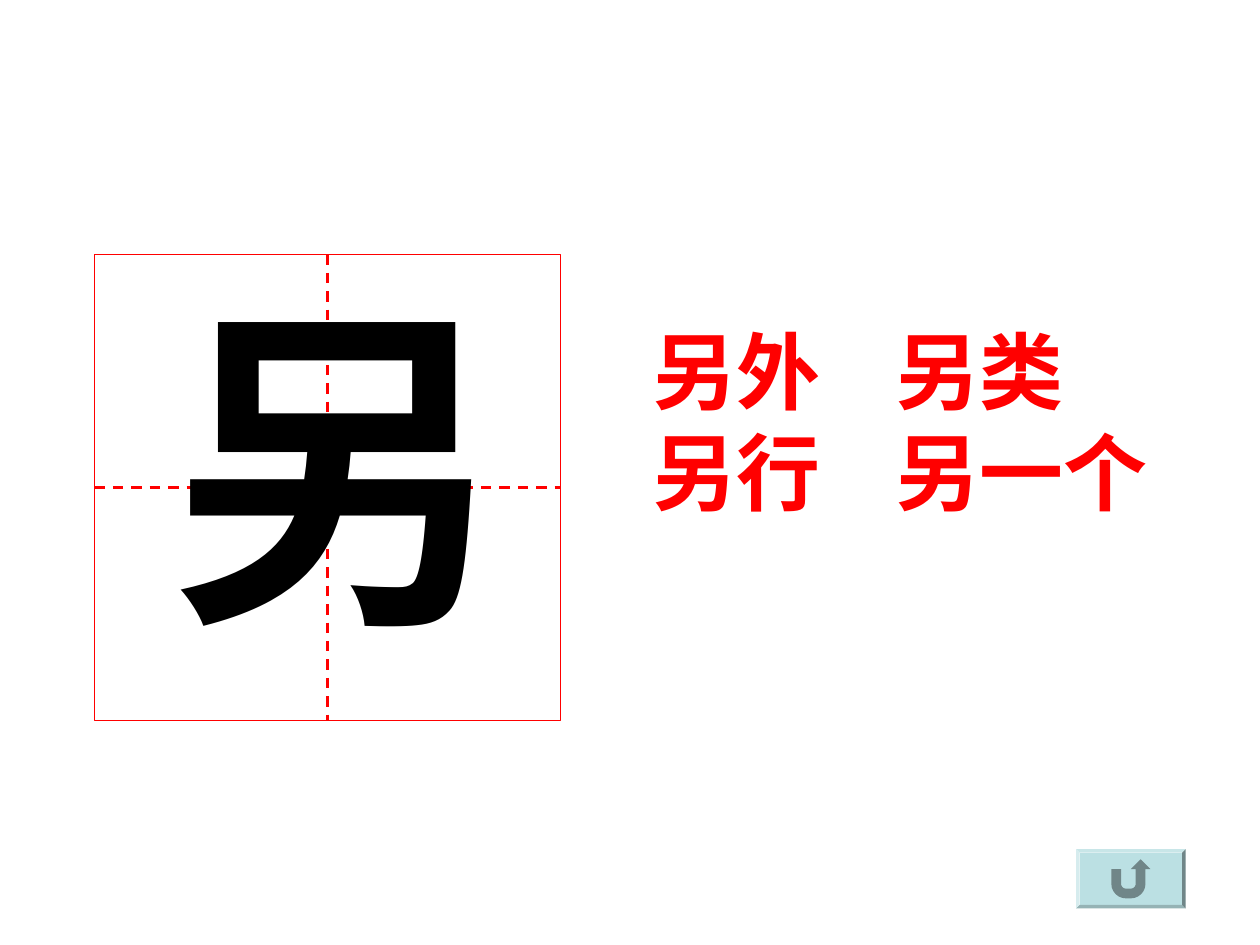
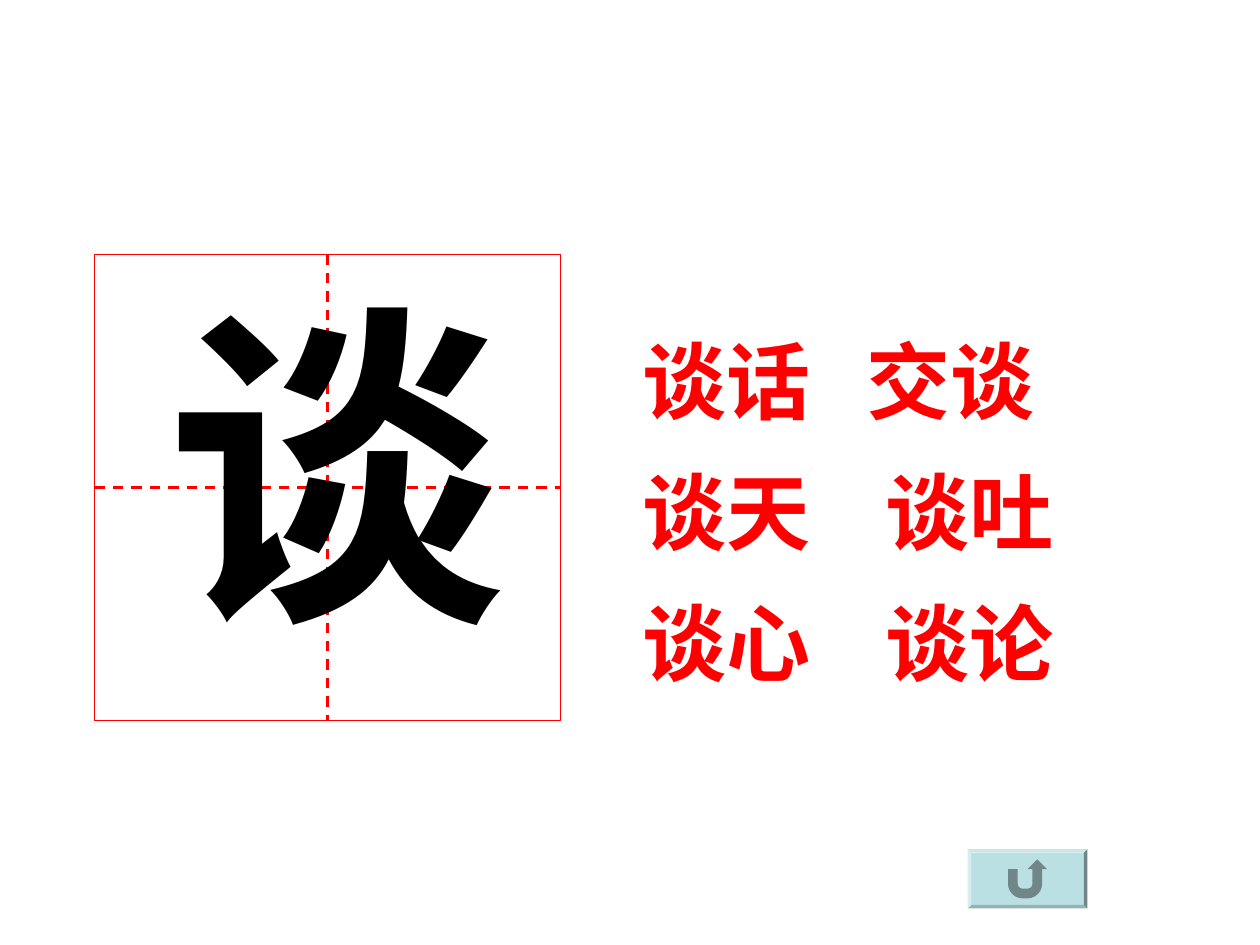
"""Build two character-practice slides with word lists and return buttons."""
import math

import lxml.etree
import pptx
import pptx.dml.color
import pptx.enum.dml
import pptx.enum.shapes
import pptx.oxml.ns
import pptx.util

Inches = pptx.util.Inches
qualified = pptx.oxml.ns.qn
RED, BLACK, WHITE, BUTTON, BUTTON_ICON = "FF0000", "000000", "FFFFFF", "BBE0E3", "708688"
SQUARE_LEFT, SQUARE_TOP, SQUARE_SIZE = 0.75, 2.02, 3.7
BUTTON_TOP, BUTTON_HEIGHT = 6.74, 0.47
ICON_SIZE, ICON_CELLS, STEPS = 0.31, 8, 100


def color(value):
    """Turn a hex string into a colour."""
    return pptx.dml.color.RGBColor.from_string(value)


def add_text(slide, box, lines, size, font_name, font_color, spacing=None, tab=None):
    """Add a bold text box with one paragraph per line."""
    frame = slide.shapes.add_textbox(*map(Inches, box)).text_frame
    frame.word_wrap = True
    for index, line in enumerate(lines):
        paragraph = frame.paragraphs[0] if index == 0 else frame.add_paragraph()
        paragraph.text = line
        if spacing:
            paragraph.line_spacing = spacing
        if tab:
            properties = paragraph._p.get_or_add_pPr()
            tabs = lxml.etree.SubElement(properties, qualified("a:tabLst"))
            position = str(Inches(tab[index]))
            lxml.etree.SubElement(tabs, qualified("a:tab"), pos=position, algn="l")
        paragraph.font.name = font_name
        paragraph.font.size = pptx.util.Pt(size)
        paragraph.font.bold = True
        paragraph.font.color.rgb = color(font_color)


inner_bend = [(3 - math.cos(math.radians(a)), 5 + math.sin(math.radians(a))) for a in range(0, 91, 15)]
outer_bend = [(4 + 3 * math.cos(math.radians(a)), 5 + 3 * math.sin(math.radians(a))) for a in range(0, 91, 15)]
inner_curve = inner_bend + [(7 - x, y) for x, y in reversed(inner_bend)]
outer_curve = outer_bend + [(7 - x, y) for x, y in reversed(outer_bend)]
arrow_head = [(5, 2), (4, 2), (6, 0), (8, 2), (7, 2)]
icon_points = [(0, 2), (2, 2)] + inner_curve + arrow_head + outer_curve
icon_points = [(x * STEPS, y * STEPS) for x, y in icon_points]

lessons = [
    {"character": "另", "words": ["另外\t另类", "另行\t另一个"], "tabs": [1.93, 1.93],
     "box": (5.08, 2.49, 4.49, 1.7), "spacing": None, "button": (8.54, 0.87)},
    {"character": "谈", "words": ["谈话\t交谈", "谈天\t谈吐", "谈心\t谈论"], "tabs": [1.78, 1.93, 1.93],
     "box": (5, 2.33, 4.49, 3.22), "spacing": 1.3, "button": (7.68, 0.95)},
]

presentation = pptx.Presentation()
presentation.slide_width, presentation.slide_height = Inches(10), Inches(7.5)

for lesson in lessons:
    slide = presentation.slides.add_slide(presentation.slide_layouts[6])
    square = slide.shapes.add_shape(
        pptx.enum.shapes.MSO_SHAPE.RECTANGLE,
        *map(Inches, (SQUARE_LEFT, SQUARE_TOP, SQUARE_SIZE, SQUARE_SIZE)))
    square.shadow.inherit = False
    square.fill.solid()
    square.fill.fore_color.rgb = color(WHITE)
    square.line.color.rgb = color(RED)
    square.line.width = pptx.util.Pt(1)

    for start_side, end_side in ((1, 3), (0, 2)):
        guide = slide.shapes.add_connector(pptx.enum.shapes.MSO_CONNECTOR.STRAIGHT, 0, 0, 0, 0)
        guide.begin_connect(square, start_side)
        guide.end_connect(square, end_side)
        guide.line.color.rgb = color(RED)
        guide.line.width = pptx.util.Pt(1.5)
        guide.line.dash_style = pptx.enum.dml.MSO_LINE.DASH
        lxml.etree.SubElement(guide._element.spPr, qualified("a:effectLst"))

    add_text(slide, (1.22, 1.99, 3.07, 3.34), [lesson["character"]], 194, "Noto Sans CJK SC", BLACK)
    add_text(slide, lesson["box"], lesson["words"], 48, "Arial", RED, lesson["spacing"], lesson["tabs"])

    button_left, button_width = lesson["button"]
    button = slide.shapes.add_shape(
        pptx.enum.shapes.MSO_SHAPE.BEVEL,
        *map(Inches, (button_left, BUTTON_TOP, button_width, BUTTON_HEIGHT)))
    button.adjustments[0] = 0.06
    builder = slide.shapes.build_freeform(*icon_points[0], scale=Inches(ICON_SIZE) / ICON_CELLS / STEPS)
    builder.add_line_segments(icon_points[1:], close=True)
    icon = builder.convert_to_shape(
        Inches(button_left + (button_width - ICON_SIZE) / 2),
        Inches(BUTTON_TOP + (BUTTON_HEIGHT - ICON_SIZE) / 2))
    for shape, fill in ((button, BUTTON), (icon, BUTTON_ICON)):
        shape.shadow.inherit = False
        shape.fill.solid()
        shape.fill.fore_color.rgb = color(fill)
        shape.line.fill.background()

presentation.save("out.pptx")
